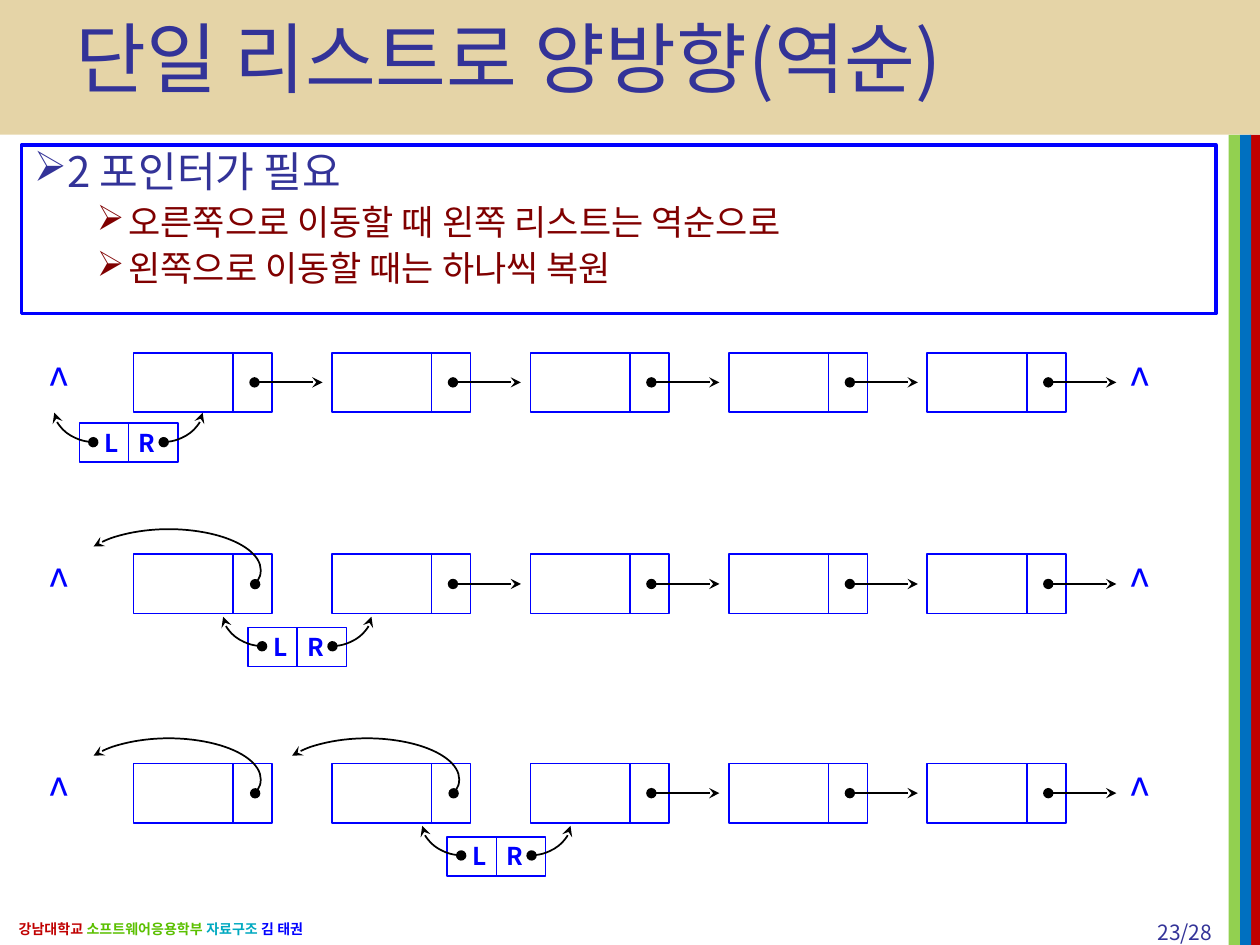
from dataclasses import dataclass

from lxml.etree import SubElement as Sub
from pptx import Presentation
from pptx.dml.color import RGBColor
from pptx.enum.shapes import MSO_CONNECTOR as Conn, MSO_SHAPE as Kind
from pptx.enum.text import MSO_ANCHOR as Anchor, PP_ALIGN as Align
from pptx.oxml.ns import qn
from pptx.util import Inches, Pt

FONT = "Noto Sans CJK KR"
BLUE, NAVY, BLACK, MAROON = "0000FF", "333398", "000000", "800000"
PITCH, NODES = 1.575, 5
NODE_X, NODE_W, NODE_H = 1.06, 1.1, 0.47
CELL_W, CELL_H = 0.39, 0.31


@dataclass
class Row:
    top: float
    pair_x: float
    pair_y: float
    back: int  # nodes whose link points left


@dataclass
class Item:
    text: str
    size: int
    color: str
    indent: float
    before: int


ROWS = [
    Row(2.8, 0.63, 3.36, 0),
    Row(4.4, 1.97, 4.98, 1),
    Row(6.06, 3.55, 6.64, 2),
]
ITEMS = [
    Item("2 포인터가 필요", 24, NAVY, 0.25, 10),
    Item("오른쪽으로 이동할 때 왼쪽 리스트는 역순으로", 20, MAROON, 0.75, 5),
    Item("왼쪽으로 이동할 때는 하나씩 복원", 20, MAROON, 0.75, 5),
]
BANDS = [
    (0, 0, 10, 1.07, "E5D4A7"),
    (9.92, 1.07, 0.09, 6.43, "C00000"),
    (9.84, 1.07, 0.09, 6.43, "0070C0"),
    (9.75, 1.07, 0.09, 6.43, "92D050"),
]
CREDIT = [
    ("강남대학교 ", "C00000"),
    ("소프트웨어응용학부 ", "5BC000"),
    ("자료구조 ", "00A9C0"),
    ("김 태권", BLUE),
]

deck = Presentation()
deck.slide_width, deck.slide_height = Inches(10), Inches(7.5)
slide = deck.slides.add_slide(deck.slide_layouts[6])
shapes = slide.shapes


def rgb(color: str) -> RGBColor:
    return RGBColor.from_string(color)


def style(font, size: int, color: str, bold: bool = False) -> None:
    font.size, font.bold, font.name = Pt(size), bold, FONT
    font.color.rgb = rgb(color)
    Sub(font._element, qn("a:ea")).set("typeface", FONT)


def stroke(line, color: str, width: float = 1, head: str = "", tail: str = "") -> None:
    line.color.rgb, line.width = rgb(color), Pt(width)
    for tag, end in (("a:headEnd", head), ("a:tailEnd", tail)):
        if end:
            Sub(line._get_or_add_ln(), qn(tag)).set("type", end)


def shape(kind, x: float, y: float, w: float, h: float, fill: str = ""):
    item = shapes.add_shape(kind, Inches(x), Inches(y), Inches(w), Inches(h))
    item.shadow.inherit = False
    if fill:
        item.fill.solid()
        item.fill.fore_color.rgb = rgb(fill)
        item.line.fill.background()
    else:
        item.fill.background()
    return item


def box(x: float, y: float, w: float, h: float, width: float = 1):
    item = shape(Kind.RECTANGLE, x, y, w, h)
    stroke(item.line, BLUE, width)
    return item


def line(x: float, y: float, x2: float, y2: float, color: str,
         head: str = "", tail: str = "") -> None:
    item = shapes.add_connector(
        Conn.STRAIGHT, Inches(x), Inches(y), Inches(x2), Inches(y2))
    stroke(item.line, color, 1, head, tail)
    Sub(item._element.spPr, qn("a:effectLst"))


def arc(x: float, y: float, w: float, h: float, start: float, end: float,
        *flips: str) -> None:
    item = shape(Kind.ARC, x, y, w, h)
    item.adjustments[0], item.adjustments[1] = start, end
    stroke(item.line, BLACK, 1, "stealth", "oval")
    for flip in flips:
        item._element.spPr.xfrm.set(flip, "1")


def write(frame, text: str, size: int, color: str, align=Align.LEFT,
          bold: bool = False, anchor=Anchor.MIDDLE):
    frame.word_wrap, frame.vertical_anchor = True, anchor
    para = frame.paragraphs[0]
    para.text, para.alignment = text, align
    style(para.font, size, color, bold)
    return para


def label(x: float, y: float, w: float, h: float):
    return shapes.add_textbox(
        Inches(x), Inches(y), Inches(w), Inches(h)).text_frame


def nodes(row: Row) -> None:
    mid = row.top + NODE_H / 2
    for i in range(NODES):
        x = NODE_X + i * PITCH
        box(x, row.top, NODE_W, NODE_H)
        line(x + 0.79, row.top, x + 0.79, row.top + NODE_H, BLUE)
        if i < row.back:
            arc(x - 0.45, row.top - 0.2, 1.46, 0.65, 118.465, 5.541)
        else:
            line(x + 0.96, mid, x + 1.5, mid, BLACK, "oval", "stealth")
    for x in (0.28, 8.86):
        write(label(x, row.top, 0.28, NODE_H), "^", 24, BLUE, Align.CENTER)


def pair(row: Row) -> None:
    x, y = row.pair_x, row.pair_y
    for i, (name, align) in enumerate((("L", Align.RIGHT), ("R", Align.LEFT))):
        frame = box(x + i * CELL_W, y, CELL_W, CELL_H).text_frame
        frame.margin_left = frame.margin_right = Inches(0.08)
        write(frame, name, 14, BLUE, align, True)
    arc(x + 0.31, y - 0.37, 0.67, 0.52, 110.591, 158.81, "flipH", "flipV")
    arc(x - 0.2, y - 0.37, 0.67, 0.52, 110.591, 158.81, "flipV")


# Bands and footer
for band in BANDS:
    shape(Kind.RECTANGLE, *band)
foot = label(0.05, 7.25, 3.53, 0.25)
foot.word_wrap, foot.vertical_anchor = True, Anchor.MIDDLE
for text, color in CREDIT:
    run = foot.paragraphs[0].add_run()
    run.text = text
    style(run.font, 8, color, True)
write(label(8.89, 7.25, 0.83, 0.25), "23/28", 12, NAVY, Align.RIGHT,
      anchor=Anchor.TOP)

# Title and points
title = write(label(0.5, 0, 9, 1), "단일 리스트로 양방향(역순)", 44, NAVY)
title.line_spacing = 0.9
body = box(0.17, 1.15, 9.48, 1.34, 2).text_frame
body.word_wrap, body.vertical_anchor = True, Anchor.TOP
for i, item in enumerate(ITEMS):
    para = body.add_paragraph() if i else body.paragraphs[0]
    para.text, para.alignment = item.text, Align.LEFT
    props = para._p.get_or_add_pPr()
    props.set("marL", str(Inches(item.indent)))
    props.set("indent", str(Inches(-0.25)))
    Sub(props, qn("a:buChar")).set("char", "➢")
    para.line_spacing, para.space_before = 0.9, Pt(item.before)
    style(para.font, item.size, item.color)

# Linked lists
for row in ROWS:
    nodes(row)
    pair(row)

deck.save("out.pptx")
